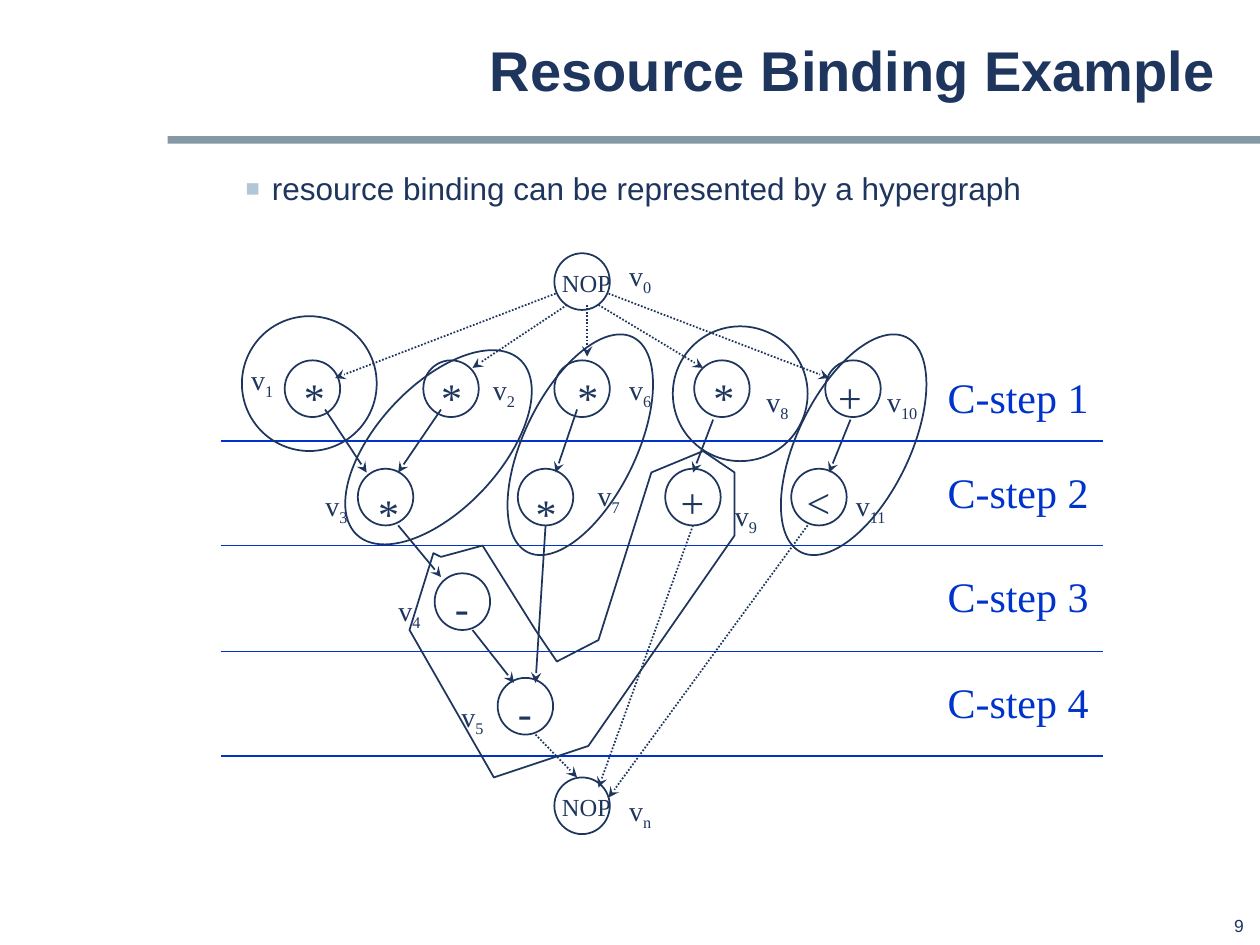
from lxml.etree import SubElement
from pptx import Presentation
from pptx.dml.color import RGBColor
from pptx.enum.dml import MSO_LINE
from pptx.enum.shapes import MSO_CONNECTOR, MSO_SHAPE
from pptx.enum.text import MSO_ANCHOR, PP_ALIGN
from pptx.oxml.ns import qn
from pptx.util import Inches, Pt

NAVY = "1E355E"
BLUE = "0033CC"
BAR = "8499A5"
BULLET = "B1C6D7"
SANS = "Arial"
SERIF = "Times New Roman"

NODE_SIZE = (0.44, 0.45)
ROW_TOPS = {0: 2.01, 1: 2.86, 2: 3.72, 3: 4.55, 4: 5.38, 5: 6.17}
SYMBOL_WIDTHS = {"*": 0.37, "+": 0.39, "<": 0.39, "-": 0.31}

# row, node left, symbol, symbol left, symbol top, index, label left, label top
NODES = [
    (0, 4.4, "NOP", 4.36, 2.08, "0", 4.89, 2),
    (1, 2.26, "*", 2.31, 2.9, "1", 1.89, 2.83),
    (1, 3.36, "*", 3.4, 2.9, "2", 3.81, 2.91),
    (1, 4.4, "*", 4.48, 2.9, "6", 4.89, 2.91),
    (1, 5.51, "*", 5.56, 2.9, "8", 5.98, 3),
    (1, 6.55, "+", 6.55, 2.9, "10", 6.94, 3),
    (2, 2.84, "*", 2.9, 3.82, "3", 2.48, 3.83),
    (2, 4.11, "*", 4.15, 3.82, "7", 4.64, 3.75),
    (2, 5.28, "+", 5.3, 3.73, "9", 5.73, 3.91),
    (2, 6.28, "<", 6.3, 3.73, "11", 6.69, 3.83),
    (3, 3.45, "-", 3.51, 4.57, "4", 3.06, 4.66),
    (4, 3.95, "-", 4.01, 5.4, "5", 3.56, 5.5),
    (5, 4.4, "NOP", 4.36, 6.24, "n", 4.89, 6.25),
]
DOTTED_EDGES = [
    (4.41, 2.33, 2.66, 3), (4.83, 2.33, 6.58, 3), (4.5, 2.42, 3.75, 2.92),
    (4.66, 2.42, 4.66, 2.83), (4.75, 2.42, 5.58, 2.92),
    (4.25, 5.83, 4.58, 6.17), (5.5, 4.17, 4.75, 6.25), (6.41, 4.17, 4.83, 6.33),
]
SOLID_EDGES = [
    (2.58, 3.25, 2.91, 3.75), (3.5, 3.25, 3.16, 3.75), (4.58, 3.25, 4.41, 3.75),
    (5.66, 3.33, 5.5, 3.75), (6.75, 3.33, 6.58, 3.75), (3.16, 4.17, 3.5, 4.58),
    (3.75, 5, 4.08, 5.42), (4.33, 4.17, 4.25, 5.42),
]
# left, top, width, height, rotation
HYPEREDGES = [
    (1.92, 2.51, 1.07, 1.07, 0), (2.99, 2.6, 0.98, 1.9, 43),
    (4.16, 2.58, 0.89, 1.9, 26), (6.33, 2.58, 0.89, 1.9, 26),
    (5.34, 2.59, 1.07, 1.07, 0),
]
ALU_OUTLINE = [
    (5.58, 3.58), (5.17, 3.75), (4.75, 5.08), (4.42, 5.25), (4.25, 5),
    (3.83, 4.33), (3.5, 4.42), (3.44, 4.39), (3.25, 5), (3.92, 6.17),
    (4.67, 5.92), (5.83, 4.25), (5.83, 3.75),
]
STEP_TOPS = [2.9, 3.65, 4.48, 5.32]


def color(value):
    return RGBColor.from_string(value)


class SlideBuilder:
    def __init__(self, slide):
        self.slide = slide

    def place(self, shape, left, top, width, height):
        shape.left, shape.top = Inches(left), Inches(top)
        shape.width, shape.height = Inches(width), Inches(height)

    def format_runs(self, paragraph, size, font=SERIF, ink=NAVY, bold=False):
        for run in paragraph.runs:
            run.font.size = Pt(size)
            run.font.name = font
            run.font.bold = bold
            run.font.color.rgb = color(ink)

    def title(self, text):
        shape = self.slide.shapes.title
        self.place(shape, 1.33, 0.17, 8.42, 0.83)
        shape.text_frame.text = text
        shape.text_frame.vertical_anchor = MSO_ANCHOR.MIDDLE
        paragraph = shape.text_frame.paragraphs[0]
        paragraph.alignment = PP_ALIGN.RIGHT
        paragraph.line_spacing = 0.88
        self.format_runs(paragraph, 32, SANS, bold=True)

    def bar(self, left, top, width, height):
        shape = self.slide.shapes.add_shape(
            MSO_SHAPE.RECTANGLE, Inches(left), Inches(top), Inches(width), Inches(height))
        shape.shadow.inherit = False
        shape.fill.solid()
        shape.fill.fore_color.rgb = color(BAR)
        shape.line.fill.background()

    def text(self, text, left, top, width, height, size, font=SERIF, ink=NAVY,
             align=PP_ALIGN.CENTER, wrap=False):
        box = self.slide.shapes.add_textbox(
            Inches(left), Inches(top), Inches(width), Inches(height))
        box.text_frame.word_wrap = wrap
        box.text_frame.text = text
        paragraph = box.text_frame.paragraphs[0]
        paragraph.alignment = align
        self.format_runs(paragraph, size, font, ink)
        return paragraph

    def bullet(self, text, left, top, width, height):
        paragraph = self.text(text, left, top, width, height, 18, SANS,
                              align=PP_ALIGN.LEFT, wrap=True)
        paragraph.line_spacing = 0.88
        properties = paragraph._p.get_or_add_pPr()
        properties.set("marL", str(Inches(0.73)))
        properties.set("indent", str(Inches(-0.21)))
        bullet_color = SubElement(properties, qn("a:buClr"))
        SubElement(bullet_color, qn("a:srgbClr"), val=BULLET)
        SubElement(properties, qn("a:buSzPct"), val="75000")
        SubElement(properties, qn("a:buFont"), typeface=SANS)
        SubElement(properties, qn("a:buChar"), char="■")

    def vertex_label(self, index, left, top):
        width = 0.38 if len(index) == 1 else 0.44
        paragraph = self.text("v", left, top, width, 0.4, 16)
        subscript = paragraph.add_run()
        subscript.text = index
        self.format_runs(paragraph, 16)
        subscript.font._element.set("baseline", "-25000")

    def outline(self, shape):
        shape.shadow.inherit = False
        shape.fill.background()
        shape.line.color.rgb = color(NAVY)
        shape.line.width = Pt(1)

    def ellipse(self, left, top, width, height, rotation=0):
        shape = self.slide.shapes.add_shape(
            MSO_SHAPE.OVAL, Inches(left), Inches(top), Inches(width), Inches(height))
        shape.rotation = rotation
        self.outline(shape)

    def polygon(self, points):
        corners = [(Inches(x), Inches(y)) for x, y in points]
        builder = self.slide.shapes.build_freeform(*corners[0])
        builder.add_line_segments(corners[1:], close=True)
        self.outline(builder.convert_to_shape())

    def line(self, start_x, start_y, end_x, end_y, ink=NAVY, dotted=False, arrow=False):
        connector = self.slide.shapes.add_connector(
            MSO_CONNECTOR.STRAIGHT, Inches(start_x), Inches(start_y),
            Inches(end_x), Inches(end_y))
        connector.line.color.rgb = color(ink)
        connector.line.width = Pt(1)
        if dotted:
            connector.line.dash_style = MSO_LINE.ROUND_DOT
        if arrow:
            SubElement(connector.line._get_or_add_ln(), qn("a:tailEnd"), type="stealth")
        SubElement(connector._element.spPr, qn("a:effectLst"))

    def node(self, row, left, symbol, symbol_left, symbol_top):
        self.ellipse(left, ROW_TOPS[row], *NODE_SIZE)
        if symbol == "NOP":
            self.text(symbol, symbol_left, symbol_top, 0.59, 0.33, 14)
        else:
            self.text(symbol, symbol_left, symbol_top, SYMBOL_WIDTHS[symbol], 0.5, 24)


def main():
    presentation = Presentation()
    presentation.slide_width = Inches(10)
    presentation.slide_height = Inches(7.5)
    builder = SlideBuilder(presentation.slides.add_slide(presentation.slide_layouts[5]))

    builder.bar(1.33, 1.08, 8.67, 0.06)
    builder.title("Resource Binding Example")
    builder.bullet("resource binding can be represented by a hypergraph", 1.33, 1.33, 8.42, 5.87)
    builder.text("9", 9.32, 7.21, 0.65, 0.26, 10, SANS, align=PP_ALIGN.RIGHT)

    for *node, index, label_left, label_top in NODES:
        builder.node(*node)
        builder.vertex_label(index, label_left, label_top)
    for edge in DOTTED_EDGES:
        builder.line(*edge, dotted=True, arrow=True)
    for edge in SOLID_EDGES:
        builder.line(*edge, arrow=True)

    for number, top in enumerate(STEP_TOPS, start=1):
        line_top = round(3.5 + (number - 1) * 2.5 / 3, 2)
        builder.line(1.75, line_top, 8.75, line_top, BLUE)
        builder.text(f"C-step {number}", 7.42, top, 1.32, 0.5, 24, ink=BLUE)

    for hyperedge in HYPEREDGES:
        builder.ellipse(*hyperedge)
    builder.polygon(ALU_OUTLINE)

    presentation.save("out.pptx")


if __name__ == "__main__":
    main()
